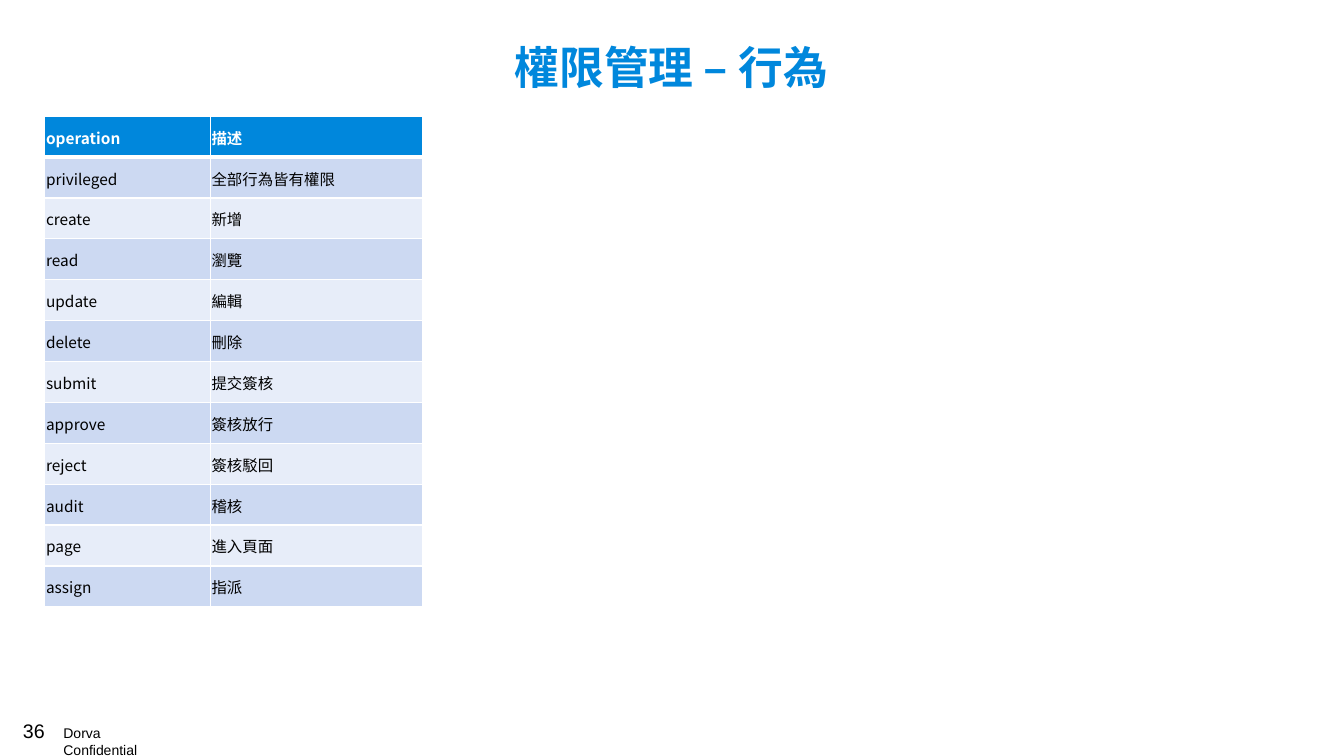
from lxml import etree
from pptx import Presentation
from pptx import util as u
from pptx.dml.color import RGBColor
from pptx.enum import text
from pptx.oxml.ns import qn

CJK = "Noto Sans CJK TC"


def rgb(value):
    return RGBColor.from_string(value)


def add_run(p, words, size, font, color, bold=False):
    r = p.add_run()
    r.text = words
    r.font.size = u.Pt(size)
    r.font.name = font
    r.font.bold = bold
    r.font.color.rgb = rgb(color)
    etree.SubElement(r.font._element, qn("a:ea"), typeface=CJK)


prs = Presentation()
prs.slide_width, prs.slide_height = u.Cm(33.87), u.Cm(19.05)
s = prs.slides.add_slide(prs.slide_layouts[6])

# Footer: page number and confidentiality note
footer = [
    ("36", 14, 0.33, 17.98, 1.12, 0.86),
    ("Dorva Confidential", 10, 1.35, 18.14, 3.3, 0.69),
]
for words, size, *box in footer:
    sp = s.shapes.add_textbox(*map(u.Cm, box))
    tf = sp.text_frame
    tf.word_wrap = False
    tf.auto_size = text.MSO_AUTO_SIZE.SHAPE_TO_FIT_TEXT
    add_run(tf.paragraphs[0], words, size, "Arial", "000000")

# Title
sp = s.shapes.add_textbox(u.Cm(1.12), u.Cm(1.04), u.Cm(31.6), u.Cm(1.88))
tf = sp.text_frame
tf.word_wrap = True
tf.margin_left = tf.margin_right = 0
p = tf.paragraphs[0]
p.alignment = text.PP_ALIGN.CENTER
p.line_spacing = 0.9
add_run(p, "權限管理 – 行為", 32, "Arial", "0087DC", True)

# Table of operations
operations = [
    ("operation", "描述"),
    ("privileged", "全部行為皆有權限"),
    ("create", "新增"),
    ("read", "瀏覽"),
    ("update", "編輯"),
    ("delete", "刪除"),
    ("submit", "提交簽核"),
    ("approve", "簽核放行"),
    ("reject", "簽核駁回"),
    ("audit", "稽核"),
    ("page", "進入頁面"),
    ("assign", "指派"),
]
row_height = 1.03
widths = [4.17, 5.36]
table = s.shapes.add_table(
    len(operations), len(widths), u.Cm(1.13), u.Cm(2.93),
    u.Cm(sum(widths)), u.Cm(row_height * len(operations))).table
for column, width in zip(table.columns, widths):
    column.width = u.Cm(width)

for i, labels in enumerate(operations):
    table.rows[i].height = u.Cm(row_height)
    header = i == 0
    fill = "0087DC" if header else ("E7EDF9", "CCD9F2")[i % 2]
    for j, label in enumerate(labels):
        cell = table.cell(i, j)
        cell.vertical_anchor = text.MSO_ANCHOR.MIDDLE
        cell.margin_left = cell.margin_right = cell.margin_top = u.Cm(0.03)
        cell.margin_bottom = 0

        # White borders, thicker under the header row
        tcPr = cell._tc.get_or_add_tcPr()
        for side in "LRTB":
            thick = (side == "B" and i == 0) or (side == "T" and i == 1)
            ln = etree.SubElement(tcPr, qn("a:ln" + side),
                                  w=str(u.Pt(3 if thick else 1)))
            solid = etree.SubElement(ln, qn("a:solidFill"))
            etree.SubElement(solid, qn("a:srgbClr"), val="FFFFFF")
        cell.fill.solid()
        cell.fill.fore_color.rgb = rgb(fill)
        add_run(cell.text_frame.paragraphs[0], label, 11, CJK,
                "FFFFFF" if header else "000000", header)

prs.save("out.pptx")
